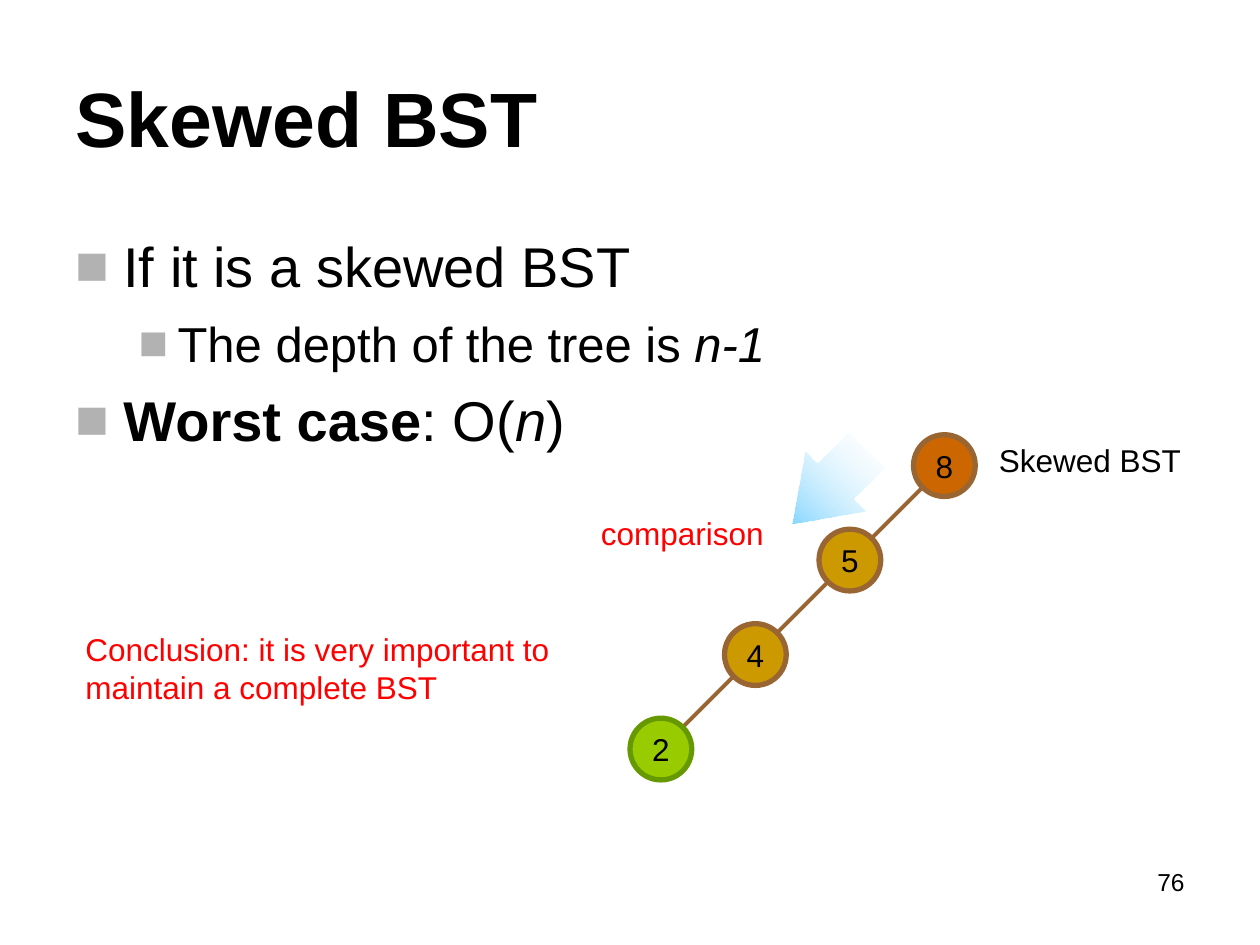
from dataclasses import dataclass
from itertools import pairwise

from lxml.etree import SubElement
from pptx import Presentation
from pptx.dml.color import RGBColor as RGB
from pptx.enum.shapes import MSO_CONNECTOR as Line, MSO_SHAPE as Shape
from pptx.enum.text import MSO_ANCHOR as Anchor, MSO_AUTO_SIZE as AutoSize, PP_ALIGN as Align
from pptx.oxml.ns import qn
from pptx.util import Inches, Pt


@dataclass(frozen=True)
class Theme:
    font: str = "Arial"
    text: str = "000000"
    accent: str = "FF0000"
    bullet: str = "B2B2B2"
    edge: str = "996633"
    root: str = "CC6600"
    inner: str = "CC9900"
    leaf: str = "99CC00"
    leaf_edge: str = "669900"
    arrow: str = "66CCFF"
    arrow_end: str = "FFFFFF"
    title_size: int = 44
    level_sizes: tuple = (32, 28)
    label_size: int = 18
    number_size: int = 14


@dataclass(frozen=True)
class Node:
    key: str
    fill: str
    line: str


@dataclass(frozen=True)
class Bullet:
    level: int
    runs: tuple  # (text, style), where style is "", "b" or "i"


@dataclass(frozen=True)
class Label:
    text: str
    box: tuple
    color: str
    size: int = 18
    align: Align = Align.LEFT


T = Theme()
NODES = [
    Node("8", T.root, T.edge),
    Node("5", T.inner, T.edge),
    Node("4", T.inner, T.edge),
    Node("2", T.leaf, T.leaf_edge),
]
BULLETS = [
    Bullet(0, (("If it is a skewed BST", ""),)),
    Bullet(1, (("The depth of the tree is ", ""), ("n-1", "i"))),
    Bullet(0, (("Worst case", "b"), (": O(", ""), ("n", "i"), (")", ""))),
]
LABELS = [
    Label("76", (7.17, 6.83, 2.33, 0.52), T.text, T.number_size, Align.RIGHT),
    Label("Skewed BST", (7.83, 3.45, 1.75, 0.4), T.text, T.label_size),
    Label("Conclusion: it is very important to maintain a complete BST",
          (0.58, 4.95, 4.17, 0.71), T.accent, T.label_size),
    Label("comparison", (4.58, 4.03, 1.67, 0.4), T.accent, T.label_size, Align.CENTER),
]
INDENTS = ((0.38, -0.38), (0.81, -0.31))  # left margin and first line, by level
ROOT_X, ROOT_Y, STEP, DIAMETER = 7.25, 3.45, 0.75, 0.49
RIM = 0.08  # from a node's corner to its outline, on the diagonal


def style_run(r, size: int, color: str = T.text, style: str = "") -> None:
    f = r.font
    f.name, f.size = T.font, Pt(size)
    f.bold, f.italic = style == "b", style == "i"
    f.color.rgb = RGB.from_string(color)


def place(sp, box: tuple) -> None:
    sp.left, sp.top, sp.width, sp.height = map(Inches, box)


def add_bullet(p, bullet: Bullet) -> None:
    p.level = bullet.level
    pPr = p._p.get_or_add_pPr()
    left, first = INDENTS[bullet.level]
    pPr.set("marL", str(Inches(left)))
    pPr.set("indent", str(Inches(first)))
    color = SubElement(pPr, qn("a:buClr"))
    SubElement(color, qn("a:srgbClr"), val=T.bullet)
    SubElement(pPr, qn("a:buFont"), typeface=T.font)
    SubElement(pPr, qn("a:buChar"), char="■")
    for text, style in bullet.runs:
        r = p.add_run()
        r.text = text
        style_run(r, T.level_sizes[bullet.level], style=style)


def add_label(s, label: Label) -> None:
    tf = s.shapes.add_textbox(*map(Inches, label.box)).text_frame
    tf.word_wrap = True
    tf.text = label.text
    p = tf.paragraphs[0]
    p.alignment = label.align
    style_run(p.runs[0], label.size, label.color)


def add_node(s, node: Node, x: float, y: float) -> None:
    sp = s.shapes.add_shape(Shape.OVAL, *map(Inches, (x, y, DIAMETER, DIAMETER)))
    sp.shadow.inherit = False
    sp.fill.solid()
    sp.fill.fore_color.rgb = RGB.from_string(node.fill)
    sp.line.color.rgb = RGB.from_string(node.line)
    sp.line.width = Pt(3)
    tf = sp.text_frame
    tf.word_wrap = False
    tf.vertical_anchor = Anchor.MIDDLE
    tf.text = node.key
    tf.paragraphs[0].alignment = Align.CENTER
    style_run(tf.paragraphs[0].runs[0], T.label_size)


def add_edge(s, parent: tuple, child: tuple) -> None:
    far = DIAMETER - RIM
    ends = (parent[0] + RIM, parent[1] + far, child[0] + far, child[1] + RIM)
    line = s.shapes.add_connector(Line.STRAIGHT, *map(Inches, ends))
    line.line.color.rgb = RGB.from_string(T.edge)
    line.line.width = Pt(2.25)
    SubElement(line._element.spPr, qn("a:effectLst"))


def add_arrow(s) -> None:
    sp = s.shapes.add_shape(Shape.UP_ARROW, *map(Inches, (6.25, 3.45, 0.67, 0.83)))
    sp.shadow.inherit = False
    sp.rotation = 225
    sp.adjustments[0], sp.adjustments[1] = 0.6, 0.72
    sp.line.fill.background()
    sp.fill.gradient()
    sp.fill.gradient_angle = 270
    for stop, color in zip(sp.fill.gradient_stops, (T.arrow, T.arrow_end)):
        stop.color.rgb = RGB.from_string(color)
    # The tail fades out completely
    tail = list(sp._element.spPr.iter(qn("a:srgbClr")))[-1]
    SubElement(tail, qn("a:alpha"), val="0")


def main() -> None:
    prs = Presentation()
    prs.slide_width, prs.slide_height = Inches(10), Inches(7.5)
    s = prs.slides.add_slide(prs.slide_layouts[1])

    # Title
    title = s.shapes.title
    place(title, (0.5, 0.3, 9, 1.25))
    tf = title.text_frame
    tf.auto_size = AutoSize.NONE
    tf.vertical_anchor = Anchor.MIDDLE
    tf.text = "Skewed BST"
    tf.paragraphs[0].alignment = Align.LEFT
    style_run(tf.paragraphs[0].runs[0], T.title_size, style="b")

    # Bullet list
    body = s.placeholders[1]
    place(body, (0.5, 1.75, 9, 4.95))
    tf = body.text_frame
    tf.auto_size = AutoSize.NONE
    tf.margin_top = Inches(0.09)
    for i, bullet in enumerate(BULLETS):
        p = tf.add_paragraph() if i else tf.paragraphs[0]
        add_bullet(p, bullet)
        p.space_before = Pt(8 if i else 0)

    # Tree, stepping down to the left from the root
    spots = [(ROOT_X - i * STEP, ROOT_Y + i * STEP) for i in range(len(NODES))]
    for parent, child in pairwise(spots):
        add_edge(s, parent, child)
    for node, (x, y) in zip(NODES, spots):
        add_node(s, node, x, y)
    add_arrow(s)

    # Labels and page number
    for label in LABELS:
        add_label(s, label)

    prs.save("out.pptx")


if __name__ == "__main__":
    main()
